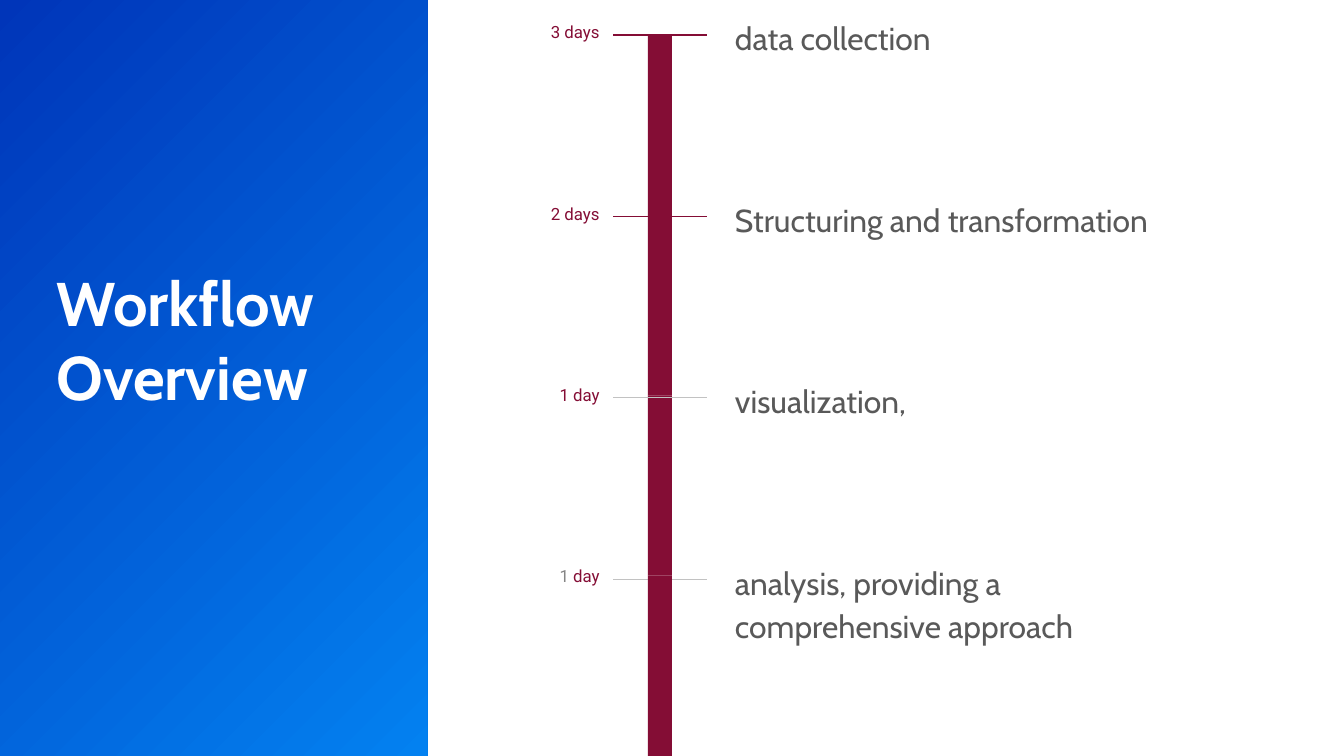
"""Build the workflow overview slide: a title panel beside a vertical timeline."""
from lxml.etree import SubElement
from pptx import Presentation
from pptx.dml.color import RGBColor
from pptx.enum.shapes import MSO_CONNECTOR as Connector, MSO_SHAPE as Shape
from pptx.enum.text import MSO_ANCHOR as Anchor, MSO_AUTO_SIZE as AutoSize, PP_ALIGN as Align
from pptx.oxml.ns import qn
from pptx.util import Inches, Pt

TITLE = "Workflow Overview"
STEPS = [
    {"duration": [("3 days", "accent")], "task": "data collection", "tick": "accent"},
    {"duration": [("2 days", "accent")], "task": "Structuring and transformation",
     "tick": "accent"},
    {"duration": [("1 day", "accent")], "task": "visualization,", "tick": "pale"},
    {"duration": [("1 ", "muted"), ("day", "accent")],
     "task": "analysis, providing a comprehensive approach",
     "tick": "pale", "tick_behind": True},
]

THEME = {
    "colors": {name: RGBColor.from_string(value) for name, value in {
        "panel_start": "0035B9", "panel_end": "0381F0", "title": "FFFFFF",
        "accent": "840D35", "pale": "C2C2C2", "muted": "858585", "task": "595959",
    }.items()},
    "title": ("Cabin", 33), "task": ("Cabin", 17), "duration": ("Roboto", 9),
}
COLORS = THEME["colors"]
WIDTH = Inches(10)
HEIGHT = WIDTH * 9 // 16
BAR_TOP = Inches(0.26)
BAR_HEIGHT = (HEIGHT - BAR_TOP) // len(STEPS)
STEP_PITCH = Inches(1.35)


def set_font(paragraph, role):
    name, size = THEME[role]
    paragraph.font.name = name
    paragraph.font.size = Pt(size)


def set_frame(frame, anchor):
    frame.word_wrap = True
    frame.auto_size = AutoSize.NONE
    frame.vertical_anchor = anchor
    frame.margin_left = frame.margin_right = Inches(0.1)
    frame.margin_top = frame.margin_bottom = Inches(0.1)


def add_rectangle(slide, left, top, width, height):
    shape = slide.shapes.add_shape(Shape.RECTANGLE, left, top, width, height)
    shape.shadow.inherit = False
    shape.line.fill.background()
    return shape


def add_panel(slide):
    panel = add_rectangle(slide, 0, 0, Inches(3.18), HEIGHT)
    panel.fill.gradient()
    panel.fill.gradient_angle = 315
    for stop, color in zip(panel.fill.gradient_stops, ("panel_start", "panel_end")):
        stop.color.rgb = COLORS[color]
    slide.shapes._spTree.insert(2, panel._element)


def add_title(slide):
    title = slide.shapes.title
    title.left, title.top = Inches(0.32), Inches(1.85)
    title.width, title.height = Inches(3.17), Inches(1.34)
    set_frame(title.text_frame, Anchor.MIDDLE)
    title.text_frame.text = TITLE
    paragraph = title.text_frame.paragraphs[0]
    paragraph.alignment = Align.LEFT
    set_font(paragraph, "title")
    paragraph.font.bold = True
    paragraph.font.color.rgb = COLORS["title"]


def add_bar(slide, index):
    top = BAR_TOP + index * BAR_HEIGHT
    bar = add_rectangle(slide, Inches(4.82), top, Inches(0.18), BAR_HEIGHT)
    bar.fill.solid()
    bar.fill.fore_color.rgb = COLORS["accent"]


def add_tick(slide, index, color):
    y = BAR_TOP + index * STEP_PITCH
    tick = slide.shapes.add_connector(Connector.STRAIGHT, Inches(5.26), y, Inches(4.56), y)
    tick.line.color.rgb = COLORS[color]
    tick.line.width = Pt(0.75)
    SubElement(tick._element.spPr, qn("a:effectLst"))


def add_text(slide, left, top, width, height, runs, role, alignment):
    box = slide.shapes.add_textbox(left, top, width, height)
    set_frame(box.text_frame, Anchor.TOP)
    paragraph = box.text_frame.paragraphs[0]
    paragraph.alignment = alignment
    paragraph.line_spacing = 1.15
    set_font(paragraph, role)
    for text, color in runs:
        run = paragraph.add_run()
        run.text = text
        run.font.color.rgb = COLORS[color]
    return paragraph


def add_step(slide, index, step):
    top = index * STEP_PITCH
    if step.get("tick_behind"):
        add_tick(slide, index, step["tick"])
        add_bar(slide, index)
    else:
        add_bar(slide, index)
        add_tick(slide, index, step["tick"])
    task = add_text(slide, Inches(5.37), top, Inches(3.61), Inches(0.37),
                    [(step["task"], "task")], "task", Align.LEFT)
    task.space_after = Pt(12)
    add_text(slide, Inches(3.56), top + Inches(0.04), Inches(1), Inches(0.47),
             step["duration"], "duration", Align.RIGHT)


def main():
    presentation = Presentation()
    presentation.slide_width, presentation.slide_height = WIDTH, HEIGHT
    slide = presentation.slides.add_slide(presentation.slide_layouts[5])
    add_panel(slide)
    add_title(slide)
    for index, step in enumerate(STEPS):
        add_step(slide, index, step)
    presentation.save("out.pptx")


if __name__ == "__main__":
    main()
